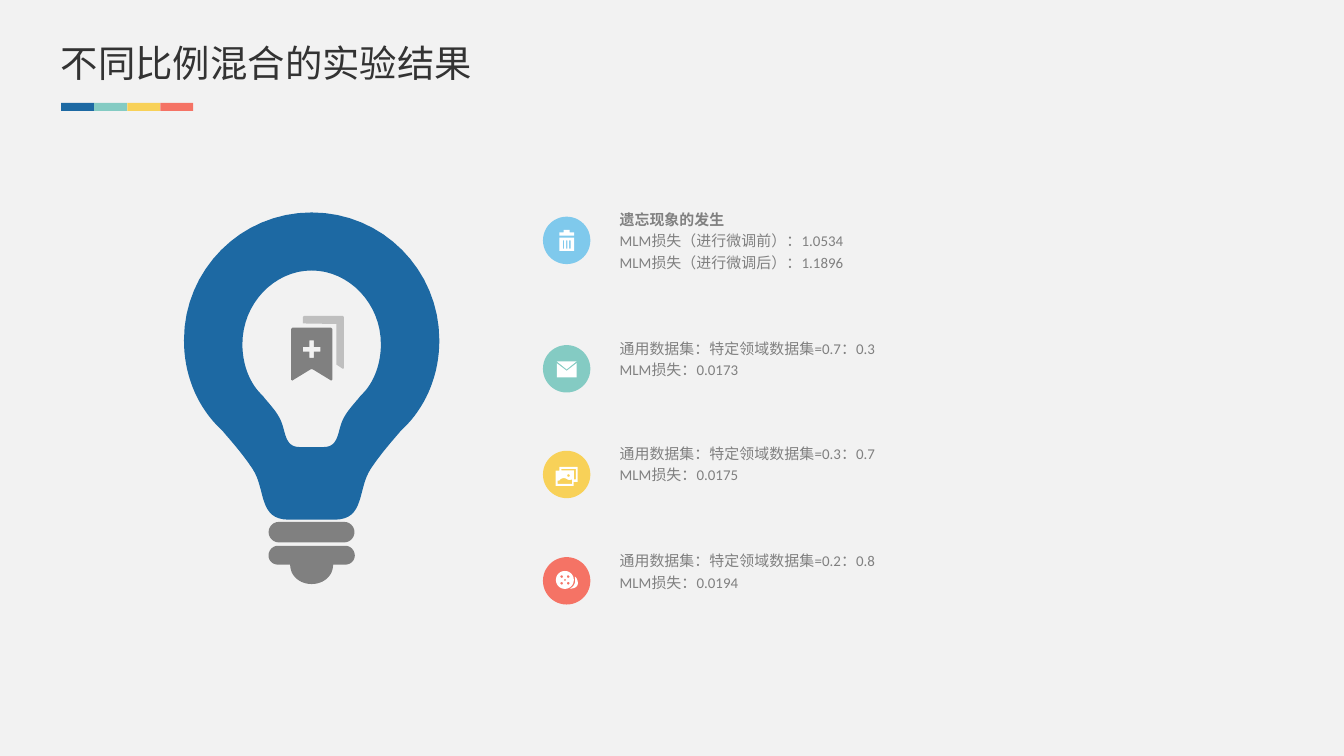
import math

from lxml import etree
from pptx import Presentation
from pptx import util as u
from pptx.dml.color import RGBColor
from pptx.enum import shapes, text
from pptx.oxml import ns

Pt = u.Pt

# Colours
BACKGROUND = RGBColor(0xF2, 0xF2, 0xF2)
BLUE = RGBColor(0x1D, 0x69, 0xA3)
SKY = RGBColor(0x7F, 0xC9, 0xEC)
TEAL = RGBColor(0x84, 0xCB, 0xC3)
YELLOW = RGBColor(0xF8, 0xD1, 0x58)
CORAL = RGBColor(0xF5, 0x73, 0x65)
GREY = RGBColor(0x80, 0x80, 0x80)
LIGHT_GREY = RGBColor(0xBF, 0xBF, 0xBF)
DARK = RGBColor(0x33, 0x33, 0x33)
WHITE = RGBColor(0xFF, 0xFF, 0xFF)

CJK_FONT = "Noto Sans CJK SC"
BULB_AXIS = 167
BADGE_X, BADGE_SIZE = 303.6, 25.4
TEXT_X, TEXT_WIDTH, TEXT_LINE = 331.9, 159, 11.5


# Outline geometry: a step of two numbers is a corner, one of six a Bézier curve
def trace(steps, samples=16):
    points = [steps[0]]
    for step in steps[1:]:
        if len(step) == 2:
            points.append(step)
            continue
        knots = [points[-1], step[:2], step[2:4], step[4:]]
        for i in range(1, samples + 1):
            t = i / samples
            weights = [math.comb(3, k) * t**k * (1 - t)**(3 - k) for k in range(4)]
            points.append(tuple(sum(w * knot[axis] for w, knot in zip(weights, knots))
                                for axis in (0, 1)))
    return points


def symmetric(left_half):
    left = trace(left_half)
    return left + [(2 * BULB_AXIS - x, y) for x, y in reversed(left)]


def disc(x, y, radius, samples=32):
    angles = [2 * math.pi * i / samples for i in range(samples)]
    return [(x + radius * math.cos(a), y + radius * math.sin(a)) for a in angles]


def box(left, top, right, bottom):
    return [(left, top), (right, top), (right, bottom), (left, bottom)]


# Elements
def paint(shape, colour):
    shape.shadow.inherit = False
    shape.fill.solid()
    shape.fill.fore_color.rgb = colour
    shape.line.fill.background()


def add_preset(slide, kind, left, top, width, height, colour):
    shape = slide.shapes.add_shape(kind, Pt(left), Pt(top), Pt(width), Pt(height))
    paint(shape, colour)
    return shape


def add_outline(slide, contours, colour, origin=(0, 0)):
    placed = [[(Pt(origin[0] + x), Pt(origin[1] + y)) for x, y in contour]
              for contour in contours]
    builder = slide.shapes.build_freeform(*placed[0][0], scale=1.0)
    for index, contour in enumerate(placed):
        if index:
            builder.move_to(*contour[0])
        builder.add_line_segments(contour[1:], close=True)
    paint(builder.convert_to_shape(), colour)


def fill_placeholder(holder, frame, lines, font, spacing=1.0, bold_first=False):
    for side, value in zip(("left", "top", "width", "height"), frame):
        setattr(holder, side, Pt(value))
    frame_format = dict(margin_left=0, margin_top=0, margin_right=0, margin_bottom=0,
                        word_wrap=True, auto_size=text.MSO_AUTO_SIZE.NONE,
                        vertical_anchor=text.MSO_ANCHOR.TOP)
    for name, value in frame_format.items():
        setattr(holder.text_frame, name, value)
    holder.text_frame.text = "\n".join(lines)
    paragraph_format = dict(alignment=text.PP_ALIGN.LEFT, line_spacing=spacing,
                            space_before=Pt(0), space_after=Pt(0))
    for index, paragraph in enumerate(holder.text_frame.paragraphs):
        properties = paragraph._p.get_or_add_pPr()
        properties.set("marL", "0")
        properties.set("indent", "0")
        etree.SubElement(properties, ns.qn("a:buNone"))
        for name, value in paragraph_format.items():
            setattr(paragraph, name, value)
        run = paragraph.runs[0]
        run_format = dict(name=font["name"], size=Pt(font["size"]),
                          bold=bold_first and index == 0)
        for name, value in run_format.items():
            setattr(run.font, name, value)
        run.font.color.rgb = font["colour"]
        east_asian = etree.SubElement(run._r.get_or_add_rPr(), ns.qn("a:ea"))
        east_asian.set("typeface", CJK_FONT)


# Light bulb with a bookmark inside
def add_bulb(slide):
    glass = symmetric([
        (167, 113.8), (128.9, 113.8, 98.6, 144.7, 98.6, 182.2),
        (98.6, 200.2, 105.1, 216, 115.9, 227.5), (119.5, 231.1),
        (123.1, 235.4, 130.3, 243.4, 135.4, 251.3),
        (142.6, 262.1, 138.2, 278.4, 154.8, 278.4)])
    hollow = symmetric([
        (167, 144.9), (146.9, 144.9, 129.9, 162.7, 129.9, 184.3),
        (129.9, 194.4, 133.2, 203.8, 139, 210.2), (141.1, 212.4),
        (143.3, 215.3, 147.6, 219.6, 149.8, 223.9),
        (153.4, 230.4, 151.9, 239.5, 160.6, 239.5)])
    add_outline(slide, [glass, hollow], BLUE)
    ring = add_preset(slide, shapes.MSO_SHAPE.ROUNDED_RECTANGLE,
                      143.9, 279.6, 46, 11, GREY)
    ring.adjustments[0] = 0.5
    foot = symmetric([
        (167, 292.4), (149, 292.4), (146.2, 292.4, 143.9, 294.8, 143.9, 297.6),
        (143.9, 300.4, 146.2, 302.5, 149, 302.5), (155.5, 302.5),
        (155.5, 308.6, 160.6, 312.9, 167, 312.9)])
    add_outline(slide, [foot], GREY)

    bookmark = symmetric([(167, 175.6), (156.6, 175.6), (155.9, 176.3), (155.9, 203.4),
                          (156.6, 203.9), (166.3, 198), (167, 197.8)])
    plus = symmetric([(167, 182.4), (165.8, 182.4), (165.8, 185.9), (162.3, 185.9),
                      (162.3, 188.4), (165.8, 188.4), (165.8, 191.8), (167, 191.8)])
    add_outline(slide, [bookmark, plus], GREY)
    back_bookmark = [(162.8, 169.3), (183.7, 169.3), (184.3, 169.9), (184.3, 197.3),
                     (183.7, 197.6), (180.3, 195.4), (180.3, 173.6), (162.3, 173.3),
                     (162.3, 169.8)]
    add_outline(slide, [back_bookmark], LIGHT_GREY)


# Badge icons: parts relative to the badge centre, each a list of contours
def icon_parts():
    slots = [box(x - 0.35, 0.1, x + 0.35, 4.4) for x in (-1.7, 0, 1.7)]
    bin_can = [box(-3.9, -1.4, 3.9, 5.7), *slots]
    bin_lid = [[(-3.9, -4.2), (-1.6, -4.2), (-1.6, -5.6), (1.6, -5.6),
                (1.6, -4.2), (3.9, -4.2), (3.9, -2.6), (-3.9, -2.6)]]

    flap = [[(-5.3, -4), (5.3, -4), (0, 0.3)]]
    envelope = [[(-5.3, -3), (0, 1.1), (5.3, -3), (5.3, 4.6), (-5.3, 4.6)]]

    photos = [
        [(-3.9, -4), (5.9, -4), (5.9, 4), (3.8, 4), (3.8, 6.1), (-5.9, 6.1),
         (-5.9, -2), (-3.9, -2)],
        [(-2.8, -3), (4.9, -3), (4.9, 2.6), (3.9, 2.6), (3.9, -2.1), (-2.8, -2.1)],
        trace([(-4.8, 3.4), (-3.8, 3.2), (-3.5, 2.4, -1.8, 1.4, 0, 2.4),
               (1, 3.2, 2, 2.9, 2.9, 2.7), (2.9, 5), (-4.8, 5)]),
        disc(1, 0.6, 0.7)]

    holes = [disc(x, y, 0.7) for x in (-2.7, 0.8) for y in (-2.3, 1.3)]
    cookie = [disc(-1, -0.5, 4.8), *holes, disc(-0.95, -0.5, 0.5)]
    back_cookie = [trace([(4.4, -2.3), (5.4, -1.6, 6, -0.2, 6, 1.3),
                          (6, 2.9, 4.6, 4.2, 1.7, 4.2),
                          (3.2, 3.4, 4.6, 2, 4.6, -0.2)])]
    return [bin_can, bin_lid], [flap, envelope], [photos], [back_cookie, cookie]


def main():
    deck = Presentation()
    deck.slide_width, deck.slide_height = Pt(720), Pt(405)
    slide = deck.slides.add_slide(deck.slide_layouts.get_by_name("Comparison"))
    slide.background.fill.solid()
    slide.background.fill.fore_color.rgb = BACKGROUND

    # Title and colour bar
    fill_placeholder(slide.shapes.title, (32.6, 21.6, 275, 24.5),
                     ["不同比例混合的实验结果"],
                     dict(name=CJK_FONT, size=20, colour=DARK))
    for index, colour in enumerate((BLUE, TEAL, YELLOW, CORAL)):
        add_preset(slide, shapes.MSO_SHAPE.RECTANGLE,
                   32.8 + 17.7 * index, 55.2, 17.7, 4.3, colour)

    add_bulb(slide)

    # Results: badge colour, badge centre, text top, lines
    results = [
        (SKY, 128.8, 110.9, ["遗忘现象的发生", "MLM损失（进行微调前）：1.0534",
                             "MLM损失（进行微调后）：1.1896"])]
    mixes = [(TEAL, 197.6, 180, "0.7：0.3", "0.0173"),
             (YELLOW, 254.2, 236.2, "0.3：0.7", "0.0175"),
             (CORAL, 311.2, 293.8, "0.2：0.8", "0.0194")]
    for colour, centre, top, ratio, loss in mixes:
        results.append((colour, centre, top, [f"通用数据集：特定领域数据集={ratio}",
                                              f"MLM损失：{loss}"]))
    holders = list(slide.placeholders)[1:]
    for holder, parts, (colour, centre, top, lines) in zip(holders, icon_parts(), results):
        add_preset(slide, shapes.MSO_SHAPE.OVAL, BADGE_X - BADGE_SIZE / 2,
                   centre - BADGE_SIZE / 2, BADGE_SIZE, BADGE_SIZE, colour)
        for contours in parts:
            add_outline(slide, contours, WHITE, (BADGE_X, centre))
        fill_placeholder(holder, (TEXT_X, top, TEXT_WIDTH, TEXT_LINE * len(lines)), lines,
                         dict(name="Calibri", size=8, colour=GREY),
                         spacing=1.2, bold_first=len(lines) == 3)

    deck.save("out.pptx")


if __name__ == "__main__":
    main()
